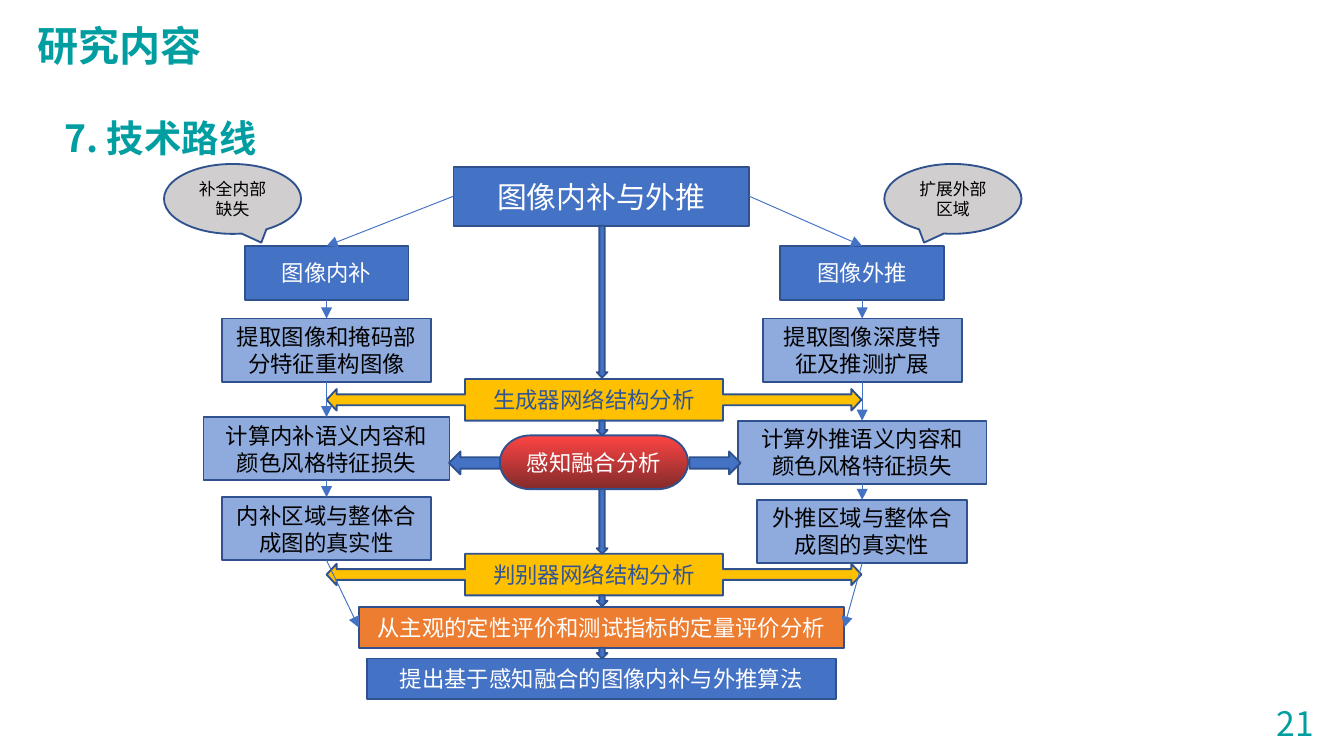
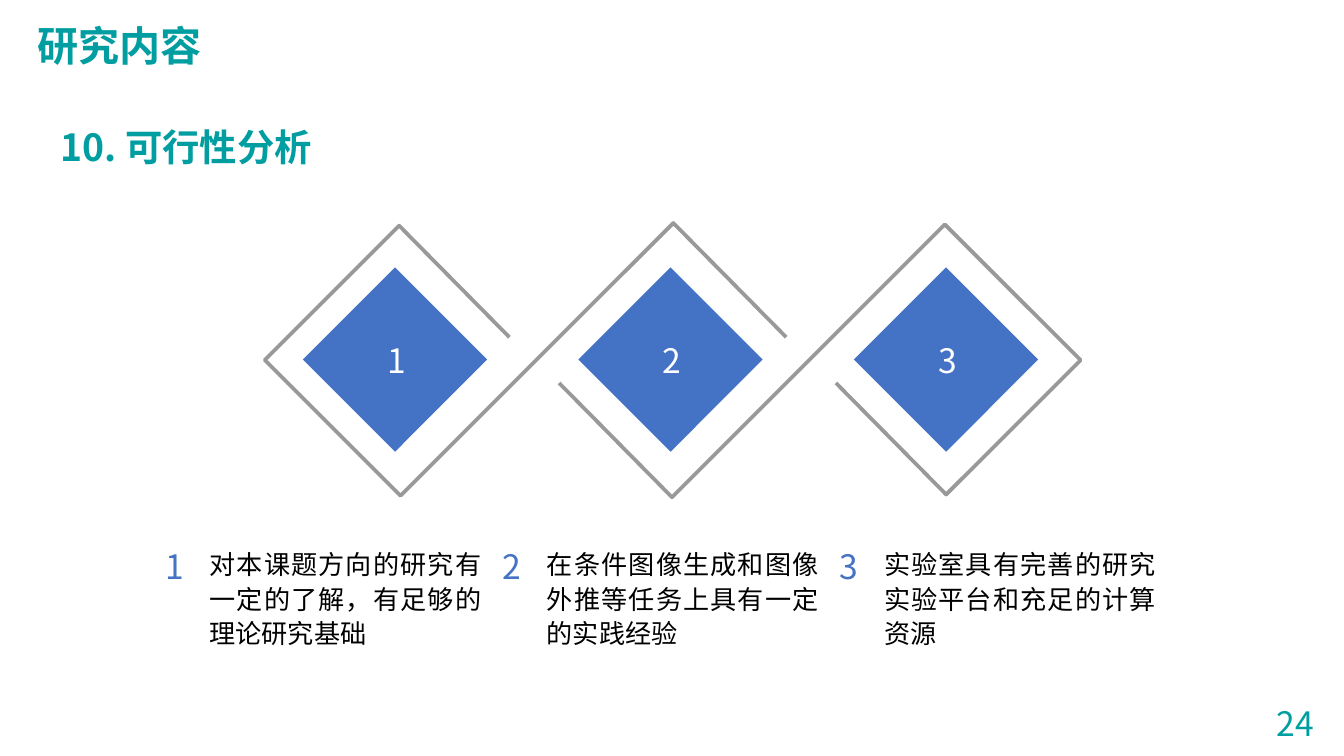
from itertools import pairwise

from lxml import etree
from pptx import Presentation
from pptx.dml.color import RGBColor
from pptx.enum.shapes import MSO_CONNECTOR, MSO_SHAPE as Preset
from pptx.enum.text import MSO_ANCHOR as Anchor, MSO_AUTO_SIZE as AutoSize, PP_ALIGN as Align
from pptx.oxml.ns import qn
from pptx.util import Inches, Pt

WIDTH, HEIGHT = Inches(10), Inches(5.625)
CJK, LATIN = "Noto Sans CJK SC", "Calibri"
TEAL, BLUE, NAVY, INDIGO = "009EA1", "4472C4", "2F528F", "2F5597"
PALE, AMBER, ORANGE, SILVER = "8FAADC", "FFC000", "ED7D31", "D0CECE"
GREY, WHITE, BLACK = "999999", "FFFFFF", "000000"
RED_TOP, RED_BOTTOM = "FE4444", "832B2B"
TOP, LEFT, BOTTOM, RIGHT = range(4)


def grid(*cells):
    """Turn grid cells, each a hundredth of the slide width, into lengths."""
    return [round(cell * WIDTH / 100) for cell in cells]


def rgb(value):
    """Return the colour of a hex string."""
    return RGBColor.from_string(value)


def write(frame, text, size=12, color=BLACK, font=CJK, bold=False, align=Align.LEFT,
          spacing=None, after=None, anchor=Anchor.TOP, wrap=True):
    """Put one formatted paragraph into a text frame."""
    frame.auto_size = AutoSize.NONE
    frame.word_wrap = wrap
    frame.vertical_anchor = anchor
    frame.margin_left = frame.margin_right = Inches(0.1)
    frame.margin_top = frame.margin_bottom = Inches(0.05)
    paragraph = frame.paragraphs[0]
    paragraph.alignment = align
    if spacing:
        paragraph.line_spacing = spacing
    if after:
        paragraph.space_after = Pt(after)
    run = paragraph.add_run()
    run.text = text
    run.font.size, run.font.bold, run.font.name = Pt(size), bold, font
    run.font.color.rgb = rgb(color)
    east_asian = etree.Element(qn("a:ea"), typeface=CJK)
    run.font._element.find(qn("a:latin")).addnext(east_asian)


def label(slide, text, left, top, width, height, **style):
    """Add a text box."""
    box = slide.shapes.add_textbox(*grid(left, top, width, height))
    write(box.text_frame, text, **style)


def paint(shape, fill=None, line=None, weight=1):
    """Set the fill and outline of a shape and take its shadow away."""
    shape.shadow.inherit = False
    if fill:
        shape.fill.solid()
        shape.fill.fore_color.rgb = rgb(fill)
    else:
        shape.fill.background()
    if line:
        shape.line.color.rgb = rgb(line)
        shape.line.width = Pt(weight)
    else:
        shape.line.fill.background()


def block(slide, center, top, width, height, text="", fill=BLUE, line=NAVY,
          preset=Preset.RECTANGLE, size=12, color=WHITE):
    """Add a preset shape centred on a column, with centred text."""
    shape = slide.shapes.add_shape(preset, *grid(center - width / 2, top, width, height))
    paint(shape, fill, line)
    if text:
        write(shape.text_frame, text, size=size, color=color,
              align=Align.CENTER, anchor=Anchor.MIDDLE)
    return shape


def outline(slide, points, close):
    """Add a freeform through grid points."""
    start, *rest = [grid(*point) for point in points]
    builder = slide.shapes.build_freeform(*start, scale=1.0)
    builder.add_line_segments(rest, close=close)
    return builder.convert_to_shape()


def band(slide, text, center, middle):
    """Add an amber label whose two arrows reach the side columns."""
    body, tip = 9.6, 19.9
    neck = tip - 0.75
    upper = [(body, -1.55), (body, -0.4), (neck, -0.4), (neck, -0.8), (tip, 0)]
    half = upper + [(x, -y) for x, y in reversed(upper[:-1])]
    ring = half + [(-x, y) for x, y in reversed(half)]
    shape = outline(slide, [(center + x, middle + y) for x, y in ring], True)
    paint(shape, AMBER, NAVY)
    write(shape.text_frame, text, color=INDIGO, align=Align.CENTER, anchor=Anchor.MIDDLE)


def link(slide, source, source_side, target, target_side):
    """Join two blocks with a thin arrow."""
    arrow = slide.shapes.add_connector(MSO_CONNECTOR.STRAIGHT, 0, 0, 0, 0)
    arrow.begin_connect(source, source_side)
    arrow.end_connect(target, target_side)
    arrow.line.color.rgb = rgb(BLUE)
    arrow.line.width = Pt(0.5)
    properties = arrow._element.spPr
    etree.SubElement(properties.find(qn("a:ln")), qn("a:tailEnd"), type="triangle")
    etree.SubElement(properties, qn("a:effectLst"))


def ribbon(slide, points):
    """Add an open grey line with round corners."""
    shape = outline(slide, points, False)
    paint(shape, line=GREY, weight=2)
    etree.SubElement(shape._element.spPr.find(qn("a:ln")), qn("a:round"))


def add_page(deck, heading, left, top, number):
    """Add a slide with the shared title, its heading and page number."""
    slide = deck.slides.add_slide(deck.slide_layouts[5])
    title = slide.shapes.title
    title.left, title.top, title.width, title.height = grid(1.8, 1, 14.2, 4.7)
    write(title.text_frame, "研究内容", size=22, color=TEAL, bold=True, wrap=False)
    label(slide, heading, left, top, 92.5, 6, size=20, color=TEAL, bold=True,
          align=Align.JUSTIFY, spacing=1.5, after=12)
    label(slide, number, 94, 51.8, 5, 4, size=18, color=TEAL, wrap=False)
    return slide


def branch(slide, center, name, steps):
    """Add a column of linked steps and return its first and last block."""
    chain = [block(slide, center, 18.3, 12.2, 4, name)]
    for text, top, width in steps:
        chain.append(block(slide, center, top, width, 4.7, text, PALE, color=BLACK))
    for upper, lower in pairwise(chain):
        link(slide, upper, BOTTOM, lower, TOP)
    return chain[0], chain[-1]


def add_roadmap(deck):
    """Build the technical roadmap."""
    slide = add_page(deck, "7. 技术路线", 3.8, 6.4, "21")
    inner, middle, outer = 24.3, 44.75, 64.15
    hub = middle - 0.55

    for text, center, tail in (("补全内部缺失", 17.3, 0.21), ("扩展外部区域", 70.9, -0.21)):
        callout = block(slide, center, 12.2, 10.2, 5.2, text, SILVER,
                        preset=Preset.OVAL_CALLOUT, size=9, color=BLACK)
        callout.adjustments[0], callout.adjustments[1] = tail, 0.625

    band(slide, "生成器网络结构分析", hub, 29.75)
    band(slide, "判别器网络结构分析", hub, 42.75)
    topic = block(slide, middle, 12.4, 22, 4.4, "图像内补与外推", size=16)
    evaluation = block(slide, middle, 45.2, 36.1, 3,
                       "从主观的定性评价和测试指标的定量评价分析", ORANGE)
    block(slide, middle, 49, 34.9, 3, "提出基于感知融合的图像内补与外推算法")

    branches = (
        (inner, LEFT, "图像内补", (
            ("提取图像和掩码部分特征重构图像", 23.7, 15.6),
            ("计算内补语义内容和颜色风格特征损失", 31.05, 18.3),
            ("内补区域与整体合成图的真实性", 37, 15.6))),
        (outer, RIGHT, "图像外推", (
            ("提取图像深度特征及推测扩展", 23.7, 14.8),
            ("计算外推语义内容和颜色风格特征损失", 31.3, 18.5),
            ("外推区域与整体合成图的真实性", 37.2, 15.6))),
    )
    for center, side, name, steps in branches:
        first, last = branch(slide, center, name, steps)
        link(slide, topic, side, first, TOP)
        link(slide, last, BOTTOM, evaluation, side)

    fusion = block(slide, hub, 32.4, 14, 4, "感知融合分析",
                   preset=Preset.FLOWCHART_TERMINATOR)
    fusion.fill.gradient()
    fusion.fill.gradient_angle = 270
    for stop, color, position in zip(fusion.fill.gradient_stops, (RED_TOP, RED_BOTTOM), (0, 1)):
        stop.color.rgb, stop.position = rgb(color), position

    for preset, offset in ((Preset.LEFT_ARROW, -8.9), (Preset.RIGHT_ARROW, 9)):
        block(slide, hub + offset, 33.6, 3.8, 1.7, preset=preset)
    for top, bottom in ((16.8, 28.1), (31.3, 32.4), (36.4, 41.2), (44.3, 45.1), (48.2, 49)):
        block(slide, middle + 0.05, top, 0.8, bottom - top, preset=Preset.DOWN_ARROW)


def add_feasibility(deck):
    """Build the feasibility analysis."""
    slide = add_page(deck, "10. 可行性分析", 3.5, 7.1, "24")
    turns = [(58.5, 25.1), (50.1, 16.6), (29.8, 36.9), (19.7, 26.8), (29.7, 16.8), (37.9, 25.1)]
    ribbon(slide, turns)
    ribbon(slide, [(100.1 - x, 53.6 - y) for x, y in turns])

    reasons = (
        "对本课题方向的研究有一定的了解，有足够的理论研究基础",
        "在条件图像生成和图像外推等任务上具有一定的实践经验",
        "实验室具有完善的研究实验平台和充足的计算资源",
    )
    for index, reason in enumerate(reasons):
        number = str(index + 1)
        center, left = 29.4 + 20.5 * index, 11.3 + 25.1 * index
        diamond = block(slide, center, 21.9, 9.7, 9.7, line=None)
        diamond.rotation = 315
        label(slide, number, center - 6.6, 24.8, 13.4, 4, size=18, color=WHITE,
              align=Align.CENTER)
        label(slide, number, left, 40.1, 17.7, 4, size=18, color=BLUE)
        label(slide, reason, left + 3.3, 40.1, 22.2, 8.7, size=14, font=LATIN,
              align=Align.JUSTIFY, spacing=1.1)


def main():
    """Build and save the deck."""
    deck = Presentation()
    deck.slide_width, deck.slide_height = WIDTH, HEIGHT
    add_roadmap(deck)
    add_feasibility(deck)
    deck.save("out.pptx")


if __name__ == "__main__":
    main()
